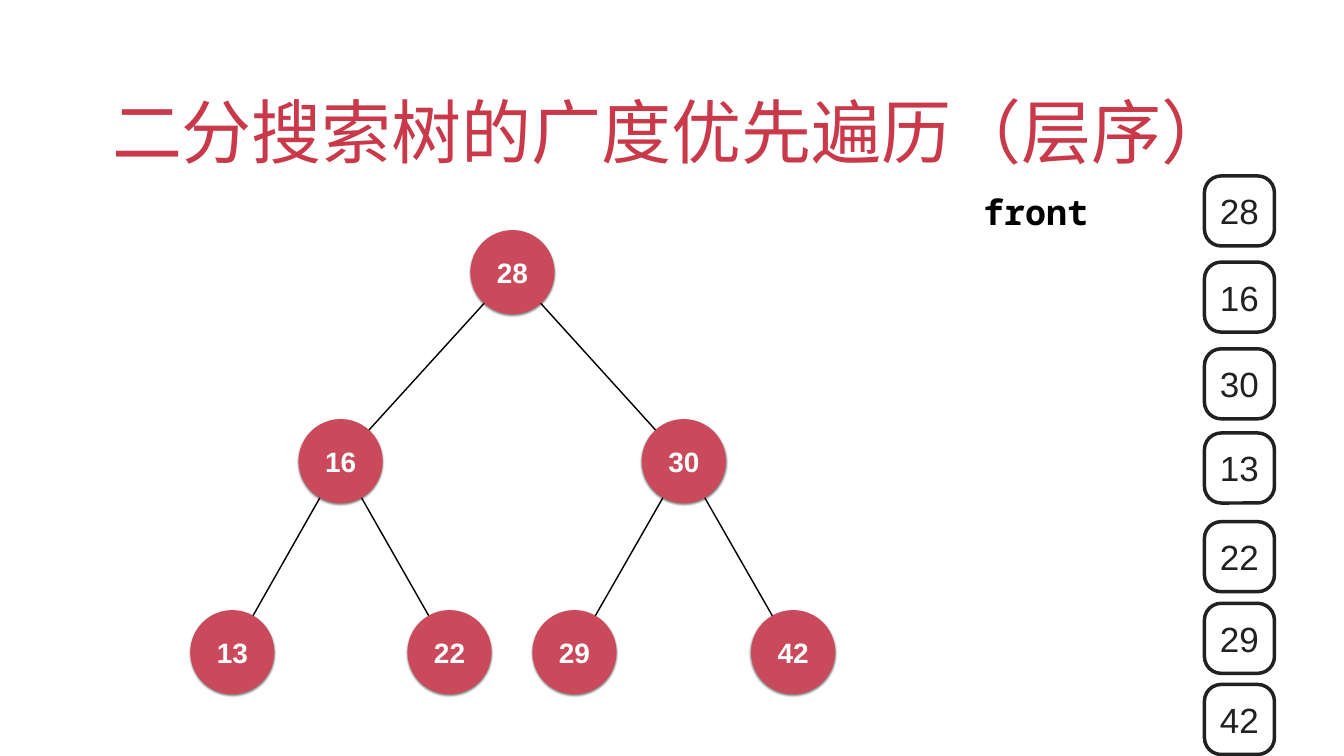
from lxml.etree import SubElement
from pptx import Presentation
from pptx.dml.color import RGBColor
from pptx.enum.shapes import MSO_CONNECTOR as Connector, MSO_SHAPE as Shape
from pptx.enum.text import MSO_ANCHOR as Anchor, PP_ALIGN as Align
from pptx.oxml.ns import qn
from pptx.util import Inches, Pt

COLORS = {
    "title": "C9394A",
    "node": "CA495A",
    "ink": "212121",
    "black": "000000",
    "white": "FFFFFF",
}
NODE_SIZE = 1.67
CELL_SIZE = 1.39
QUEUE_LEFT = 23.9
NODES = {
    28: (10.17, 5.4),
    16: (6.76, 9.15),
    30: (13.57, 9.15),
    13: (4.61, 12.94),
    22: (8.92, 12.94),
    29: (11.4, 12.94),
    42: (15.74, 12.94),
}
CHILDREN = {28: (16, 30), 16: (13, 22), 30: (29, 42)}
QUEUE_TOPS = {28: 3.49, 16: 5.2, 30: 6.92, 13: 8.59, 22: 10.35, 29: 11.97, 42: 13.58}


def rgb(name):
    return RGBColor.from_string(COLORS[name])


def write(shape, text, size, color, font="Arial", bold=False,
          anchor=Anchor.MIDDLE, wrap=True):
    frame = shape.text_frame
    frame.word_wrap = wrap
    frame.vertical_anchor = anchor
    frame.margin_left = frame.margin_right = Inches(0.06)
    frame.margin_top = frame.margin_bottom = Inches(0.06)
    paragraph = frame.paragraphs[0]
    paragraph.alignment = Align.CENTER
    run = paragraph.add_run()
    run.text = text
    run.font.name = font
    run.font.size = Pt(size)
    run.font.bold = bold
    run.font.color.rgb = rgb(color)


def add_label(slide, box, text, **style):
    label = slide.shapes.add_textbox(*map(Inches, box))
    write(label, text, **style)


def add_edge(slide, parent, child):
    ends = map(Inches, NODES[parent] + NODES[child])
    edge = slide.shapes.add_connector(Connector.STRAIGHT, *ends)
    edge.line.color.rgb = rgb("black")
    edge.line.width = Pt(2)
    SubElement(edge._element.spPr, qn("a:effectLst"))


def add_drop_shadow(shape):
    shape.shadow.inherit = False
    effects = shape._element.spPr.find(qn("a:effectLst"))
    shadow = SubElement(effects, qn("a:outerShdw"), blurRad=str(Pt(3)),
                        dist=str(Pt(2)), dir="5400000", rotWithShape="0")
    color = SubElement(shadow, qn("a:srgbClr"), val=COLORS["black"])
    SubElement(color, qn("a:alpha"), val="50000")


def add_node(slide, value):
    x, y = NODES[value]
    box = (x - NODE_SIZE / 2, y - NODE_SIZE / 2, NODE_SIZE, NODE_SIZE)
    node = slide.shapes.add_shape(Shape.OVAL, *map(Inches, box))
    node.fill.solid()
    node.fill.fore_color.rgb = rgb("node")
    node.line.fill.background()
    add_drop_shadow(node)
    write(node, str(value), size=40, color="white", bold=True)


def add_queue_cell(slide, value, top):
    box = (QUEUE_LEFT, top, CELL_SIZE, CELL_SIZE)
    cell = slide.shapes.add_shape(Shape.ROUNDED_RECTANGLE, *map(Inches, box))
    cell.adjustments[0] = 0.24
    cell.shadow.inherit = False
    cell.fill.background()
    cell.line.color.rgb = rgb("ink")
    cell.line.width = Pt(5)
    write(cell, str(value), size=50, color="ink")


def main():
    deck = Presentation()
    deck.slide_width = Inches(26.67)
    deck.slide_height = Inches(15)
    slide = deck.slides.add_slide(deck.slide_layouts[6])

    add_label(slide, (1.94, 1.27, 22.78, 2.22), "二分搜索树的广度优先遍历（层序）",
              size=100, color="title", anchor=Anchor.BOTTOM)
    for parent, children in CHILDREN.items():
        for child in children:
            add_edge(slide, parent, child)
    for value in NODES:
        add_node(slide, value)
    add_label(slide, (19.44, 3.73, 2.22, 0.92), "front", size=50, color="black",
              font="Noto Sans Mono", bold=True, wrap=False)
    for value, top in QUEUE_TOPS.items():
        add_queue_cell(slide, value, top)

    deck.save("out.pptx")


if __name__ == "__main__":
    main()
